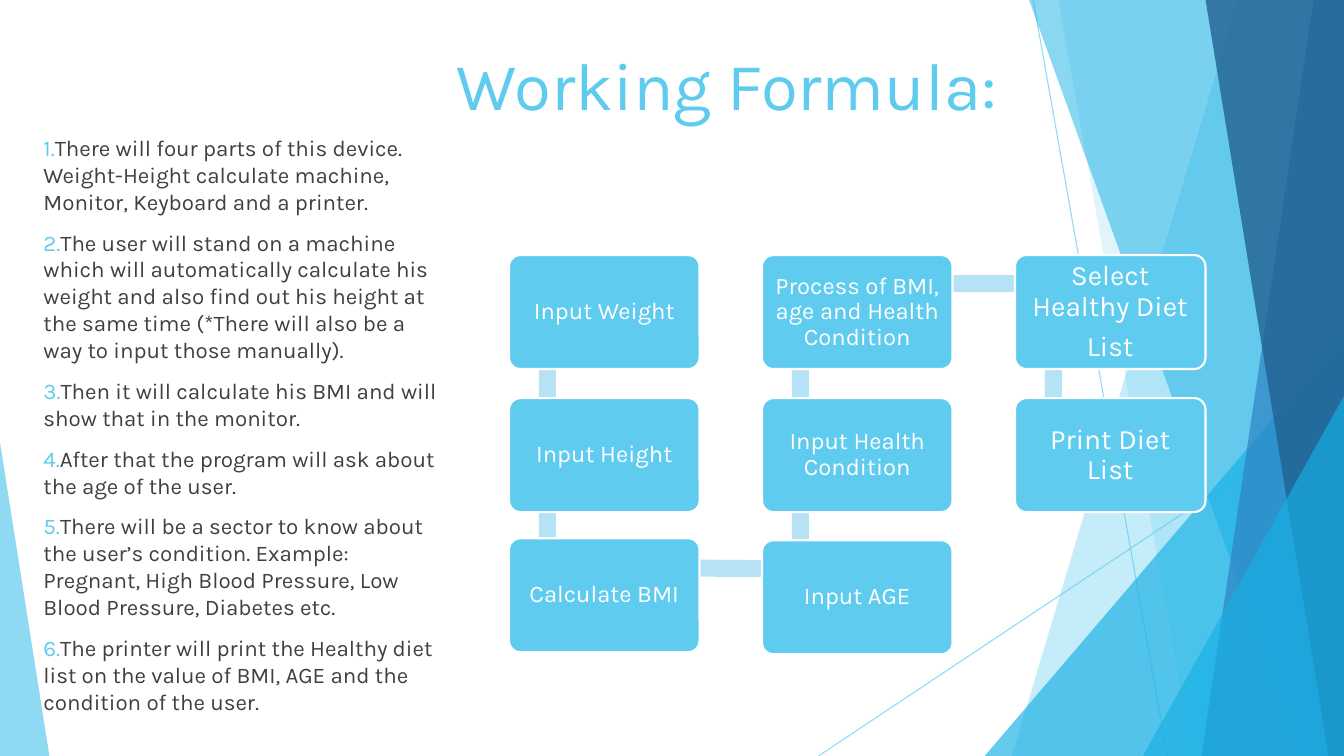
import math
from dataclasses import dataclass
from itertools import pairwise
from typing import Any, NamedTuple

from lxml import etree
from pptx import Presentation
from pptx import util as u
from pptx.dml import color
from pptx.enum import shapes, text
from pptx.oxml import ns


@dataclass(frozen=True)
class Theme:
    font: str = "Karla"
    sky: str = "5FCBEF"
    cyan: str = "17B0E4"
    blue: str = "2E83C3"
    navy: str = "226292"
    link: str = "B6E2F6"
    body: str = "404040"
    white: str = "FFFFFF"
    title_size: int = 48
    body_size: int = 16
    step_size: int = 17
    output_size: int = 20


class Box(NamedTuple):
    left: float
    top: float
    width: float
    height: float


class Band(NamedTuple):
    points: list[tuple[float, float]]
    fill: str
    opacity: int


class Wedge(NamedTuple):
    box: Box
    apex: int
    fill: str
    opacity: int


class Step(NamedTuple):
    lines: list[str]
    column: int
    top: float
    size: int
    inset: int


THEME = Theme()
WIDTH, HEIGHT = 960, 540
TITLE_BOX = Box(319, -8.6, 444.2, 100.8)
BODY_BOX = Box(23.8, 92.2, 303.8, 582.5)

# Background facets
RAYS = [((738, 0), (833.8, HEIGHT)), ((WIDTH, 290.2), (584.6, HEIGHT))]


def right_band(top_x: float, bottom_x: float, fill: str, opacity: int) -> Band:
    """Band from a slanted left edge to the right side of the slide."""
    return Band([(top_x, 0), (WIDTH, 0), (WIDTH, HEIGHT), (bottom_x, HEIGHT)], fill, opacity)


FACETS = [
    right_band(884.2, 722.9, THEME.sky, 36),
    right_band(756, 851.8, THEME.sky, 20),
    Wedge(Box(703.4, 239.8, 256.6, 300.2), 1, THEME.cyan, 66),
    right_band(735.1, 929.5, THEME.cyan, 50),
    right_band(938.2, 858.2, THEME.blue, 70),
    right_band(861.1, 949, THEME.navy, 80),
    Wedge(Box(816.5, 283, 143.5, 257), 1, THEME.cyan, 66),
    Wedge(Box(0, 316.1, 35.3, 223.9), 0, THEME.sky, 70),
]

# Flow chart, in reading order
FLOW_LEFT, COLUMN_PITCH = 363.6, 180.7
STEP_WIDTH, STEP_HEIGHT = 136.1, 81.4
LINK_X, LINK_Y, LINK_THICKNESS = 27.4, 20.5, 12.2
ROW_1, ROW_2, ROW_3 = 182.2, 284.4, 385.9
STEPS = [
    Step(["Input Weight"], 0, ROW_1, THEME.step_size, 5),
    Step(["Input Height"], 0, ROW_2, THEME.step_size, 5),
    Step(["Calculate BMI"], 0, 384.5, THEME.step_size, 5),
    Step(["Input AGE"], 1, ROW_3, THEME.step_size, 5),
    Step(["Input Health Condition"], 1, ROW_2, THEME.step_size, 5),
    Step(["Process of BMI, age and Health Condition"], 1, ROW_1, THEME.step_size, 5),
    Step(["Select Healthy Diet", "List"], 2, ROW_1, THEME.output_size, 6),
    Step(["Print Diet List"], 2, ROW_2, THEME.output_size, 6),
]

NOTES = [
    "There will four parts of this device. Weight-Height calculate machine, Monitor, "
    "Keyboard and a printer.",
    "The user will stand on a machine which will automatically calculate his weight and also "
    "find out his height at the same time (*There will also be a way to input those manually).",
    "Then it will calculate his BMI and will show that in the monitor.",
    "After that the program will ask about the age of the user.",
    "There will be a sector to know about the user\u2019s condition. Example: Pregnant, "
    "High Blood Pressure, Low Blood Pressure, Diabetes etc.",
    "The printer will print the Healthy diet list on the value of BMI, AGE and the "
    "condition of the user.",
]


def apply(target: Any, values: dict[str, Any]) -> None:
    for name, value in values.items():
        setattr(target, name, value)


def place(shape: Any, box: Box) -> None:
    apply(shape, {name: u.Pt(value) for name, value in box._asdict().items()})


def set_opacity(element: Any, percent: int) -> None:
    for rgb in element.iter(ns.qn("a:srgbClr")):
        etree.SubElement(rgb, ns.qn("a:alpha"), val=str(percent * 1000))


def paint(shape: Any, fill: str) -> None:
    shape.shadow.inherit = False
    shape.fill.solid()
    shape.fill.fore_color.rgb = color.RGBColor.from_string(fill)
    shape.line.fill.background()


def add_box(parent: Any, kind: Any, box: Box, fill: str) -> Any:
    shape = parent.add_shape(kind, *(u.Pt(value) for value in box))
    paint(shape, fill)
    return shape


def add_run(paragraph: Any, wording: str, size: int, ink: str) -> None:
    run = paragraph.add_run()
    run.text = wording
    apply(run.font, {"name": THEME.font, "size": u.Pt(size)})
    run.font.color.rgb = color.RGBColor.from_string(ink)


def next_paragraph(frame: Any, index: int) -> Any:
    return frame.add_paragraph() if index else frame.paragraphs[0]


def add_ray(parent: Any, start: tuple[float, float], end: tuple[float, float]) -> None:
    ray = parent.add_connector(shapes.MSO_CONNECTOR.STRAIGHT, *(u.Pt(v) for v in start + end))
    ray.line.width = u.Pt(0.75)
    ray.line.color.rgb = color.RGBColor.from_string(THEME.sky)
    set_opacity(ray.element, 70)
    etree.SubElement(ray.element.spPr, ns.qn("a:effectLst"))


def add_facet(parent: Any, facet: Band | Wedge) -> None:
    if isinstance(facet, Wedge):
        shape = add_box(parent, shapes.MSO_SHAPE.ISOSCELES_TRIANGLE, facet.box, facet.fill)
        shape.adjustments[0] = facet.apex
    else:
        first, *rest = [(u.Pt(x), u.Pt(y)) for x, y in facet.points]
        builder = parent.build_freeform(*first, scale=1.0)
        builder.add_line_segments(rest, close=True)
        shape = builder.convert_to_shape()
        paint(shape, facet.fill)
    set_opacity(shape.element, facet.opacity)


def step_left(step: Step) -> float:
    return FLOW_LEFT + COLUMN_PITCH * step.column


def add_link(parent: Any, start: Step, end: Step) -> None:
    across, down = step_left(end) - step_left(start), end.top - start.top
    length = math.hypot(across, down)
    middle_x = step_left(start) + LINK_X + across / 2
    middle_y = start.top + LINK_Y + down / 2
    box = Box(middle_x - length / 2, middle_y - LINK_THICKNESS / 2, length, LINK_THICKNESS)
    link = add_box(parent, shapes.MSO_SHAPE.RECTANGLE, box, THEME.link)
    link.rotation = math.degrees(math.atan2(down, across))


def add_step(parent: Any, step: Step) -> None:
    box = Box(step_left(step), step.top, STEP_WIDTH, STEP_HEIGHT)
    shape = add_box(parent, shapes.MSO_SHAPE.ROUNDED_RECTANGLE, box, THEME.sky)
    shape.adjustments[0] = 0.1
    shape.line.color.rgb = color.RGBColor.from_string(THEME.white)
    shape.line.width = u.Pt(1.5)
    frame = shape.text_frame
    sides = ("left", "top", "right", "bottom")
    apply(frame, {f"margin_{side}": u.Pt(step.inset) for side in sides})
    apply(frame, {"word_wrap": True, "vertical_anchor": text.MSO_ANCHOR.MIDDLE})
    for index, line in enumerate(step.lines):
        paragraph = next_paragraph(frame, index)
        apply(paragraph, {"alignment": text.PP_ALIGN.CENTER, "line_spacing": 0.9,
                          "space_after": u.Pt(round(step.size * 0.35))})
        add_run(paragraph, line, step.size, THEME.white)


def fill_title(title: Any) -> None:
    place(title, TITLE_BOX)
    apply(title.text_frame, {"vertical_anchor": text.MSO_ANCHOR.BOTTOM, "word_wrap": True,
                             "auto_size": text.MSO_AUTO_SIZE.NONE})
    paragraph = title.text_frame.paragraphs[0]
    paragraph.alignment = text.PP_ALIGN.LEFT
    add_run(paragraph, "Working Formula:", THEME.title_size, THEME.sky)


def fill_body(body: Any) -> None:
    place(body, BODY_BOX)
    apply(body.text_frame, {"vertical_anchor": text.MSO_ANCHOR.TOP, "word_wrap": True,
                            "auto_size": text.MSO_AUTO_SIZE.NONE})
    for index, note in enumerate(NOTES):
        paragraph = next_paragraph(body.text_frame, index)
        apply(paragraph, {"alignment": text.PP_ALIGN.LEFT, "space_before": u.Pt(10)})
        properties = paragraph._p.get_or_add_pPr()
        properties.attrib.update({"marL": "0", "indent": "0"})
        etree.SubElement(properties, ns.qn("a:buNone"))
        add_run(paragraph, f"{index + 1}.", THEME.body_size, THEME.sky)
        add_run(paragraph, note, THEME.body_size, THEME.body)


presentation = Presentation()
apply(presentation, {"slide_width": u.Pt(WIDTH), "slide_height": u.Pt(HEIGHT)})
slide = presentation.slides.add_slide(presentation.slide_layouts[1])

# Background, sent behind the placeholders
background = slide.shapes.add_group_shape()
for ray_start, ray_end in RAYS:
    add_ray(background.shapes, ray_start, ray_end)
for facet in FACETS:
    add_facet(background.shapes, facet)
slide.shapes.element.insert(2, background.element)

# Title and list
fill_title(slide.shapes.title)
fill_body(slide.placeholders[1])

# Flow chart: links lie under the steps
flow = slide.shapes.add_group_shape()
for source, target in pairwise(STEPS):
    add_link(flow.shapes, source, target)
for step in STEPS:
    add_step(flow.shapes, step)

presentation.save("out.pptx")
